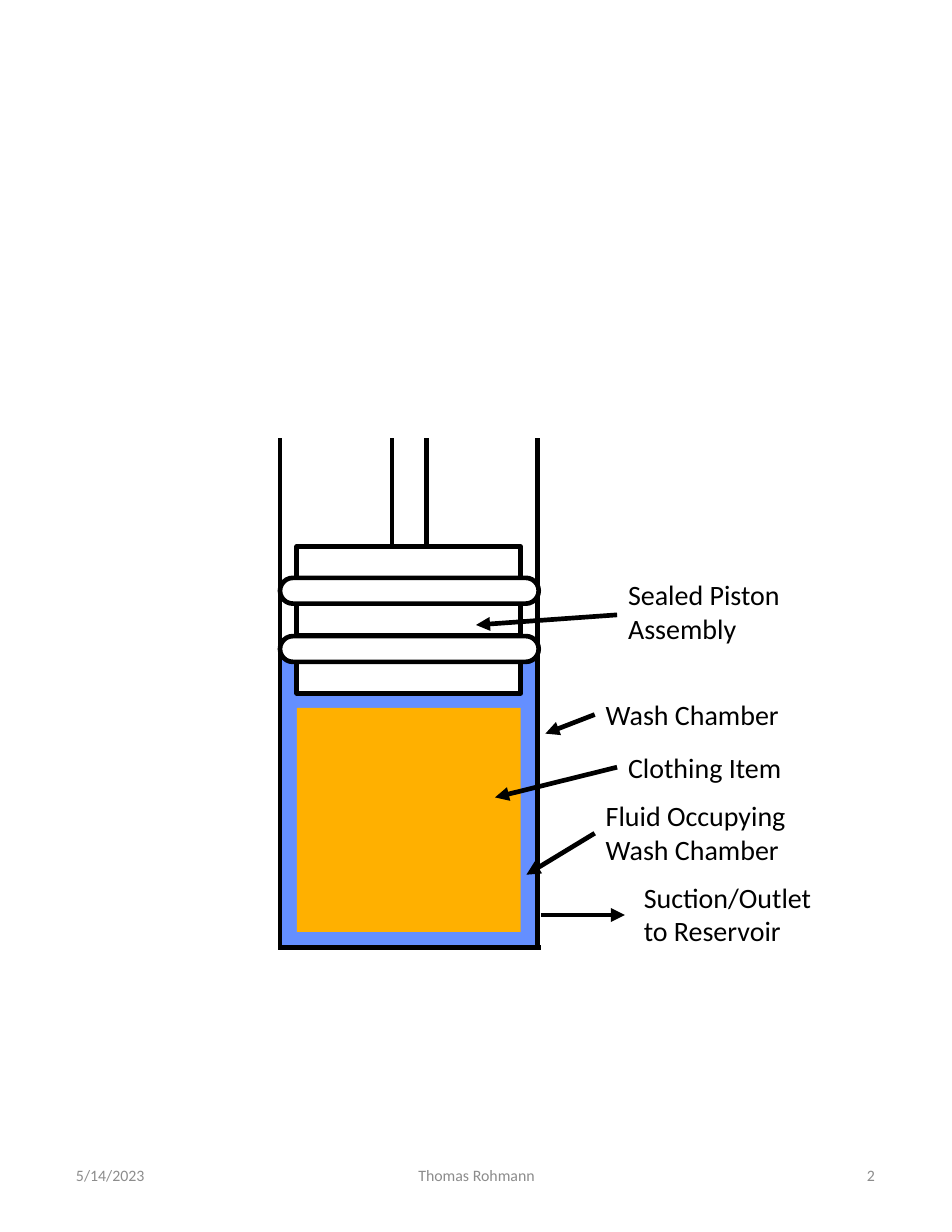
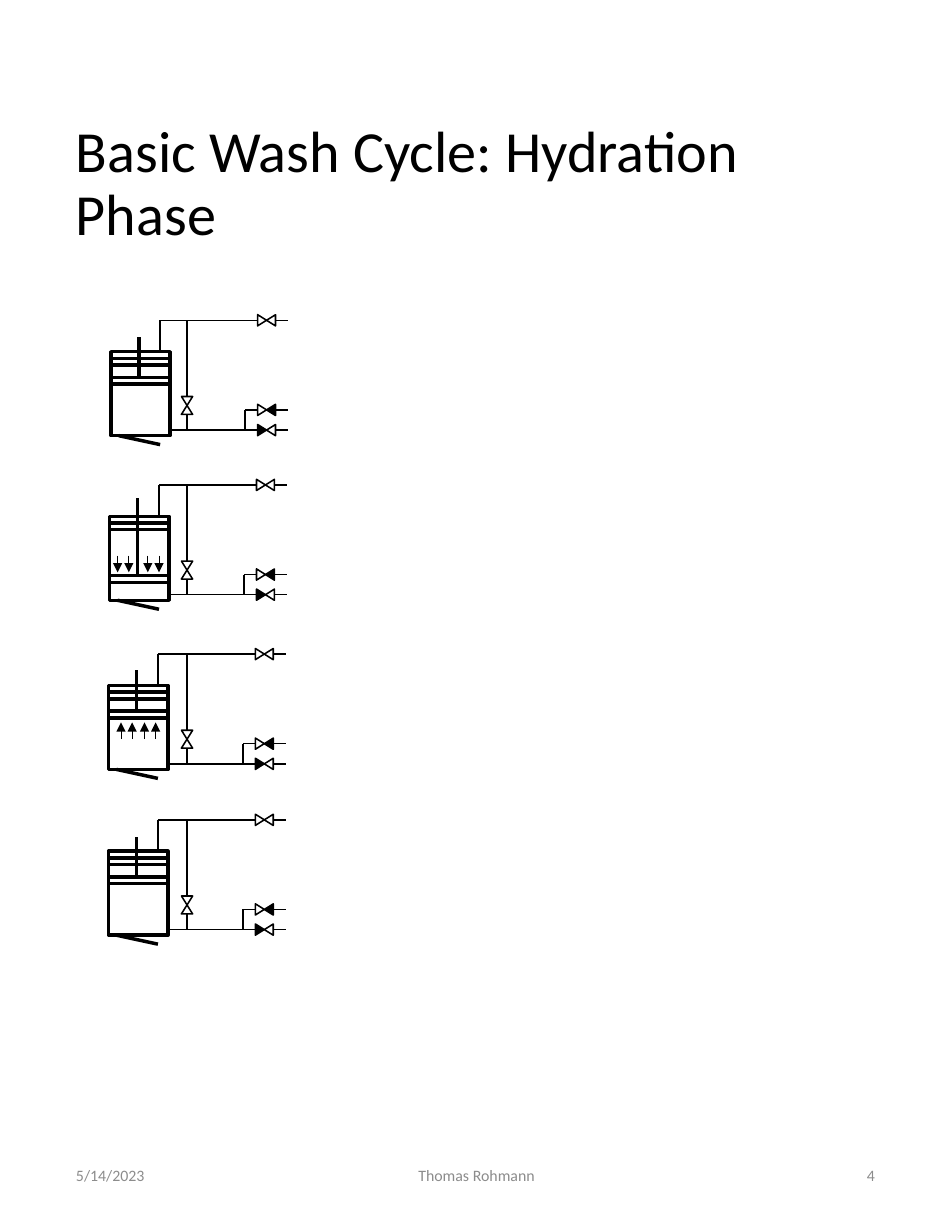
import pptx
import pptx.util
import pptx.dml.color
import pptx.enum.shapes
import pptx.enum.text
import pptx.oxml.ns
from lxml import etree

Inches, Pt = pptx.util.Inches, pptx.util.Pt
RGB = pptx.dml.color.RGBColor.from_string
SHAPE = pptx.enum.shapes.MSO_SHAPE
ALIGN = pptx.enum.text.PP_ALIGN
ANCHOR = pptx.enum.text.MSO_ANCHOR
qn = pptx.oxml.ns.qn

COLORS = {"ink": "000000", "paper": "FFFFFF", "grey": "8C8C8C",
          "fluid": "648FFF", "cloth": "FFB000"}

# Text styles: color, then attributes for font, paragraph and frame
STYLES = {
    "title": ("ink", {"size": Pt(37.4)}, {"line_spacing": 0.9},
              {"vertical_anchor": ANCHOR.MIDDLE}),
    "label": ("ink", {"size": Pt(18)}, {}, {"vertical_anchor": ANCHOR.TOP}),
}
for name, align in (("left", ALIGN.LEFT), ("center", ALIGN.CENTER), ("right", ALIGN.RIGHT)):
    STYLES[name] = ("grey", {"size": Pt(10.2)}, {"alignment": align},
                    {"vertical_anchor": ANCHOR.MIDDLE})


def add_shape(s, kind, box, fill=None, weight=None, rotation=0):
    """Add a preset shape; box is left, top, width, height in inches."""
    sp = s.shapes.add_shape(kind, *(Inches(v) for v in box))
    sp.shadow.inherit = False
    sp.rotation = rotation
    if fill:
        sp.fill.solid()
        sp.fill.fore_color.rgb = RGB(COLORS[fill])
    else:
        sp.fill.background()
    if weight:
        sp.line.color.rgb = RGB(COLORS["ink"])
        sp.line.width = Pt(weight)
    else:
        sp.line.fill.background()
    return sp


def add_line(s, x1, y1, x2, y2, weight, arrow=False):
    """Add a straight black line, with an arrowhead at its end if asked."""
    cn = s.shapes.add_connector(pptx.enum.shapes.MSO_CONNECTOR.STRAIGHT,
                                Inches(x1), Inches(y1), Inches(x2), Inches(y2))
    cn.line.color.rgb = RGB(COLORS["ink"])
    cn.line.width = Pt(weight)
    if arrow:
        etree.SubElement(cn.line._get_or_add_ln(), qn("a:tailEnd"), type="triangle")
    etree.SubElement(cn._element.spPr, qn("a:effectLst"))


prs = pptx.Presentation()
prs.slide_width, prs.slide_height = Inches(8.5), Inches(11)
chamber, cycle = (prs.slides.add_slide(prs.slide_layouts[6]) for _ in range(2))

# Slide 1: wash chamber with its piston
s = chamber
LEFT, RIGHT, FLOOR = 2.5, 4.8, 8.46
add_shape(s, SHAPE.RECTANGLE, (LEFT, 5.79, 2.31, 2.66), "fluid")
for y in (4.88, 5.39, 5.91):
    add_shape(s, SHAPE.RECTANGLE, (2.65, y, 2, 0.28), "paper", 3)
add_shape(s, SHAPE.RECTANGLE, (3.5, 2.38, 0.31, 2.5), "paper", 3)
for x in (LEFT, RIGHT):
    add_line(s, x, FLOOR, x, 3.3, 3)
for y in (5.16, 5.68):
    seal = add_shape(s, SHAPE.ROUNDED_RECTANGLE, (LEFT, y, 2.31, 0.23), "paper", 3)
    seal.adjustments[0] = 0.5
add_shape(s, SHAPE.RECTANGLE, (2.65, 6.32, 2, 2), "cloth")
add_line(s, 4.83, FLOOR, 2.48, FLOOR, 3)
add_shape(s, SHAPE.RECTANGLE, (1.79, 2.15, 3.89, 1.76), "paper")

# Each callout: text, box, arrow
callouts = [
    ("Sealed Piston\nAssembly", (5.51, 5.11, 1.87, 0.71), (5.51, 5.49, 4.25, 5.58)),
    ("Wash Chamber", (5.31, 6.18, 1.87, 0.4), (5.31, 6.38, 4.87, 6.55)),
    ("Clothing Item", (5.51, 6.65, 1.87, 0.4), (5.51, 6.85, 4.42, 7.12)),
    ("Fluid Occupying Wash Chamber", (5.31, 7.08, 2.07, 0.71), (5.31, 7.44, 4.7, 7.81)),
    ("Suction/Outlet to Reservoir", (5.65, 7.81, 1.87, 0.71), (4.83, 8.17, 5.58, 8.17)),
]
for text, box, arrow in callouts:
    add_line(s, *arrow, 3, arrow=True)

# Slide 2: four stages; vessel left, top pipe, piston and rod offsets, arrow xs, arrow ys
s = cycle
BYPASS = 1.67
stages = [
    (0.99, 2.86, 0.51, 0.15, (), ()),
    (0.98, 4.33, 0.81, 0.12, (1.05, 1.15, 1.32, 1.42), (0.63, 0.78)),
    (0.97, 5.84, 0.51, 0.14, (1.08, 1.18, 1.29, 1.39), (0.76, 0.61)),
    (0.97, 7.32, 0.51, 0.15, (), ()),
]
for x, y, piston, rod, arrow_xs, arrow_ys in stages:
    supply, drain = y + 0.8, y + 0.98
    riser, feed, end, valve = x + 0.44, x + 1.2, x + 1.58, x + 1.39
    for pipe in ((riser, y, end, y), (riser, y, riser, y + 0.28),
                 (BYPASS, y, BYPASS, drain), (feed, supply, end, supply),
                 (feed, supply, feed, drain), (x + 0.52, drain, end, drain)):
        add_line(s, *pipe, 1)

    add_shape(s, SHAPE.RECTANGLE, (x, y + 0.28, 0.53, 0.75), "paper", 2.25)
    for offset in (piston, 0.34):
        add_shape(s, SHAPE.RECTANGLE, (x, y + offset, 0.53, 0.06), "paper", 2.25)
    add_line(s, x + 0.07, y + 1.03, riser, y + 1.11, 2.25)
    add_line(s, x + 0.25, y + piston, x + 0.25, y + rod, 2.25)
    for ax in arrow_xs:
        add_line(s, ax, y + arrow_ys[0], ax, y + arrow_ys[1], 0.5, arrow=True)

    # A valve is two triangles that meet at their tips
    for cx, cy, first, second, upright in (
            (valve, y, "paper", "paper", False),
            (valve, supply, "paper", "ink", False),
            (valve, drain, "ink", "paper", False),
            (BYPASS, y + 0.76, "paper", "paper", True)):
        for side, fill in ((-1, first), (1, second)):
            dx, dy = (0, 0.04 * side) if upright else (0.04 * side, 0)
            turn = (180 if side < 0 else 0) if upright else 180 + 90 * side
            add_shape(s, SHAPE.ISOSCELES_TRIANGLE,
                      (cx + dx - 0.05, cy + dy - 0.04, 0.1, 0.08), fill, 1, turn)

# All text, with the footers that both slides share
texts = [(chamber, text, box, "label") for text, box, arrow in callouts]
texts.append((cycle, "Basic Wash Cycle: Hydration Phase", (0.58, 0.59, 7.33, 2.13), "title"))
for s, number in ((chamber, "2"), (cycle, "4")):
    texts += [(s, "5/14/2023", (0.58, 10.2, 1.91, 0.59), "left"),
              (s, "Thomas Rohmann", (2.82, 10.2, 2.87, 0.59), "center"),
              (s, number, (6, 10.2, 1.91, 0.59), "right")]
for s, text, box, style in texts:
    color, font_format, paragraph_format, frame_format = STYLES[style]
    tf = s.shapes.add_textbox(*(Inches(v) for v in box)).text_frame
    tf.word_wrap = True
    tf.text = text
    for p in tf.paragraphs:
        font = p.runs[0].font
        font.name = "Calibri"
        font.color.rgb = RGB(COLORS[color])
        for target, values in ((font, font_format), (p, paragraph_format), (tf, frame_format)):
            for attribute, value in values.items():
                setattr(target, attribute, value)

prs.save("out.pptx")
